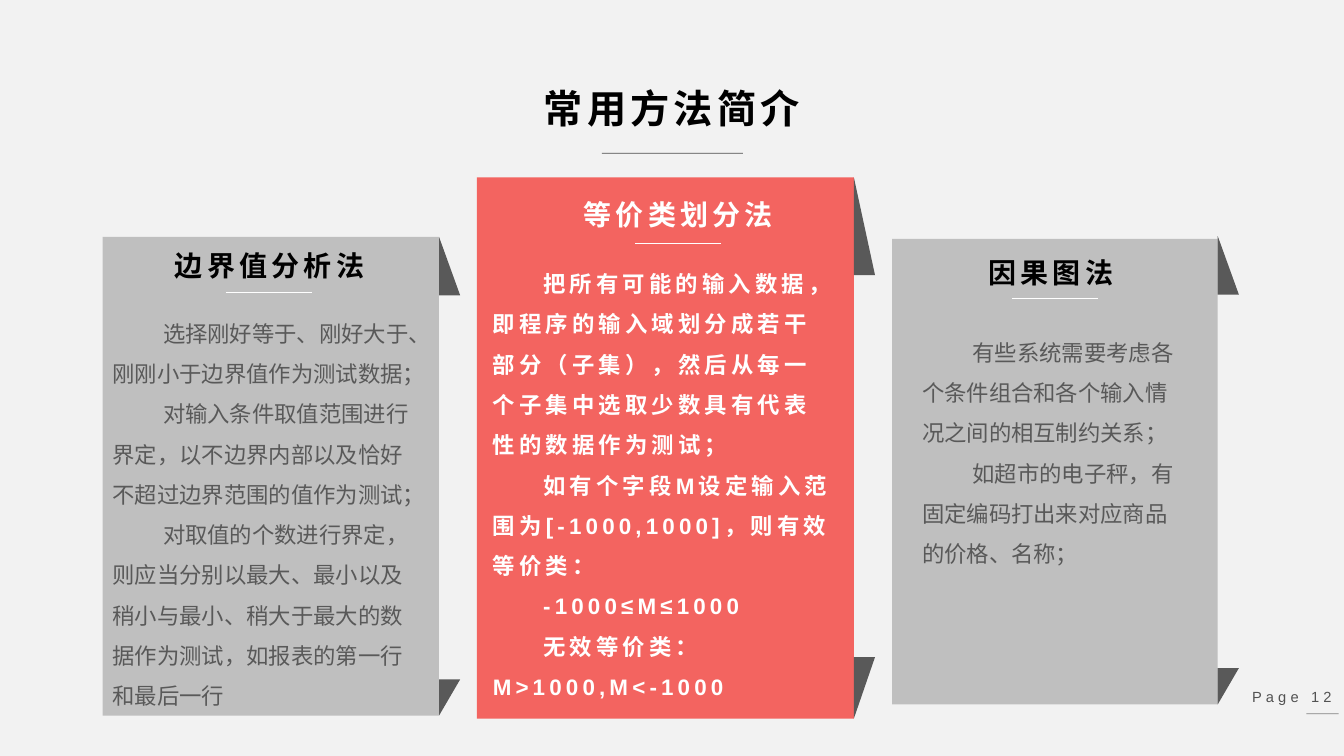
from lxml.etree import SubElement
from pptx import Presentation
from pptx.dml.color import RGBColor
from pptx.enum.shapes import MSO_CONNECTOR, MSO_SHAPE
from pptx.enum.text import MSO_ANCHOR, MSO_AUTO_SIZE, PP_ALIGN
from pptx.oxml.ns import qn
from pptx.util import Pt

COLORS = {
    "back": "F2F2F2", "gray": "BFBFBF", "red": "F36460", "fold": "595959",
    "body": "595959", "page": "525252", "black": "000000", "white": "FFFFFF",
}
FOLD = 15.1
RULE = 61.6

CARDS = [
    dict(box=(73.4, 169.2, 240.2, 342), fill="gray", title="边界值分析法",
         head=(41.1, 5, 156.2), rule=(87.9, 39.6), body=(0, 46.1, 230.4, 298),
         folds=(41.8, 25.9), ink=("black", "body"), paras=[
             "选择刚好等于、刚好大于、刚刚小于边界值作为测试数据；",
             "对输入条件取值范围进行界定，以不边界内部以及恰好不超过边界范围的值作为测试；",
             "对取值的个数进行界定，则应当分别以最大、最小以及稍小与最小、"
             "稍大于最大的数据作为测试，如报表的第一行和最后一行"]),
    dict(box=(340.6, 126.7, 269.3, 386.6), fill="red", title="等价类划分法",
         head=(48.2, 10.8, 191.5), rule=(113, 46.8), body=(4.3, 53.3, 260.6, 326.9),
         folds=(69.8, 43.9), ink=("white", "white"), strong=True, paras=[
             "把所有可能的输入数据，即程序的输入域划分成若干部分（子集），"
             "然后从每一个子集中选取少数具有代表性的数据作为测试；",
             "如有个字段M设定输入范围为[-1000,1000]，则有效等价类：",
             "-1000≤M≤1000",
             "无效等价类：M>1000,M<-1000"]),
    dict(box=(637.2, 170.6, 232.6, 332.6), fill="gray", title="因果图法",
         head=(44.6, 8.7, 137.5), rule=(85.7, 42.5), body=(14.4, 58.4, 204.5, 181.4),
         folds=(41.8, 25.9), lift=2, ink=("black", "body"), paras=[
             "有些系统需要考虑各个条件组合和各个输入情况之间的相互制约关系；",
             "如超市的电子秤，有固定编码打出来对应商品的价格、名称；"]),
]


def color(name):
    return RGBColor.from_string(COLORS[name])


def add_shape(slide, kind, box, fill, flip=False):
    shape = slide.shapes.add_shape(kind, *map(Pt, box))
    shape.shadow.inherit = False
    shape.fill.solid()
    shape.fill.fore_color.rgb = color(fill)
    shape.line.fill.background()
    if flip:
        shape._element.spPr.find(qn("a:xfrm")).set("flipV", "1")


def add_rule(slide, left, top, width, ink, alpha=100):
    line = slide.shapes.add_connector(
        MSO_CONNECTOR.STRAIGHT, Pt(left), Pt(top), Pt(left + width), Pt(top))
    line.line.width = Pt(0.5)
    line.line.color.rgb = color(ink)
    props = line._element.spPr
    if alpha < 100:
        SubElement(next(props.iter(qn("a:srgbClr"))), qn("a:alpha"), val=str(alpha * 1000))
    SubElement(props, qn("a:effectLst"))


def add_text(slide, box, paras, size, ink, bold=False, track=3, align=None, grow=True):
    """Add text; paragraphs without an alignment are indented body text."""
    frame = slide.shapes.add_textbox(*map(Pt, box)).text_frame
    frame.word_wrap = True
    if grow:
        frame.auto_size = MSO_AUTO_SIZE.SHAPE_TO_FIT_TEXT
    else:
        frame.vertical_anchor = MSO_ANCHOR.MIDDLE
    for i, text in enumerate(paras):
        para = frame.paragraphs[0] if i == 0 else frame.add_paragraph()
        run = para.add_run()
        run.text = text
        if track:
            run._r.get_or_add_rPr().set("spc", str(track * 100))
        if align is None:
            props = para._p.get_or_add_pPr()
            props.set("marL", "0")
            props.set("indent", str(Pt(36)))
            para.line_spacing = 1.5
        else:
            para.alignment = align
        font = para.font
        font.name, font.size, font.bold = "Arial", Pt(size), bold
        font.color.rgb = color(ink)


def add_card(slide, box, fill, title, head, rule, body, folds, ink, paras,
             strong=False, lift=0):
    """Draw a panel with folded corners; inner offsets start at its top left."""
    left, top, width, height = box
    add_shape(slide, MSO_SHAPE.RECTANGLE, box, fill)
    add_text(slide, (left + head[0], top + head[1], head[2], 31.7), [title],
             20, ink[0], True, align=PP_ALIGN.CENTER)
    add_rule(slide, left + rule[0], top + rule[1], RULE, "white")
    right, base = left + width, top + height
    high, low = folds
    add_shape(slide, MSO_SHAPE.RIGHT_TRIANGLE, (right, top - lift, FOLD, high), "fold")
    add_shape(slide, MSO_SHAPE.RIGHT_TRIANGLE, (right, base - low, FOLD, low), "fold", True)
    add_text(slide, (left + body[0], top + body[1], *body[2:]), paras,
             16, ink[1], strong, 3 if strong else 0)


def add_title(slide, box):
    left, top, width, height = box
    add_text(slide, box, ["常用方法简介"], 28, "black", True, align=PP_ALIGN.CENTER)
    add_rule(slide, left + 80, top + 52.6, 100.8, "black", 67)


def add_page(slide, box):
    left, top, width, height = box
    add_rule(slide, left + 54, top + 26.7, 23, "black", 45)
    add_text(slide, box, ["Page 12"], 10.5, "page", align=PP_ALIGN.RIGHT, grow=False)


def main():
    deck = Presentation()
    deck.slide_width, deck.slide_height = Pt(960), Pt(540)
    slide = deck.slides.add_slide(deck.slide_layouts[6])
    slide.background.fill.solid()
    slide.background.fill.fore_color.rgb = color("back")
    for card in CARDS:
        add_card(slide, **card)
    add_title(slide, (349.9, 56.9, 259.9, 41))
    add_page(slide, (879.1, 483.1, 79.2, 28.8))
    deck.save("out.pptx")


if __name__ == "__main__":
    main()
